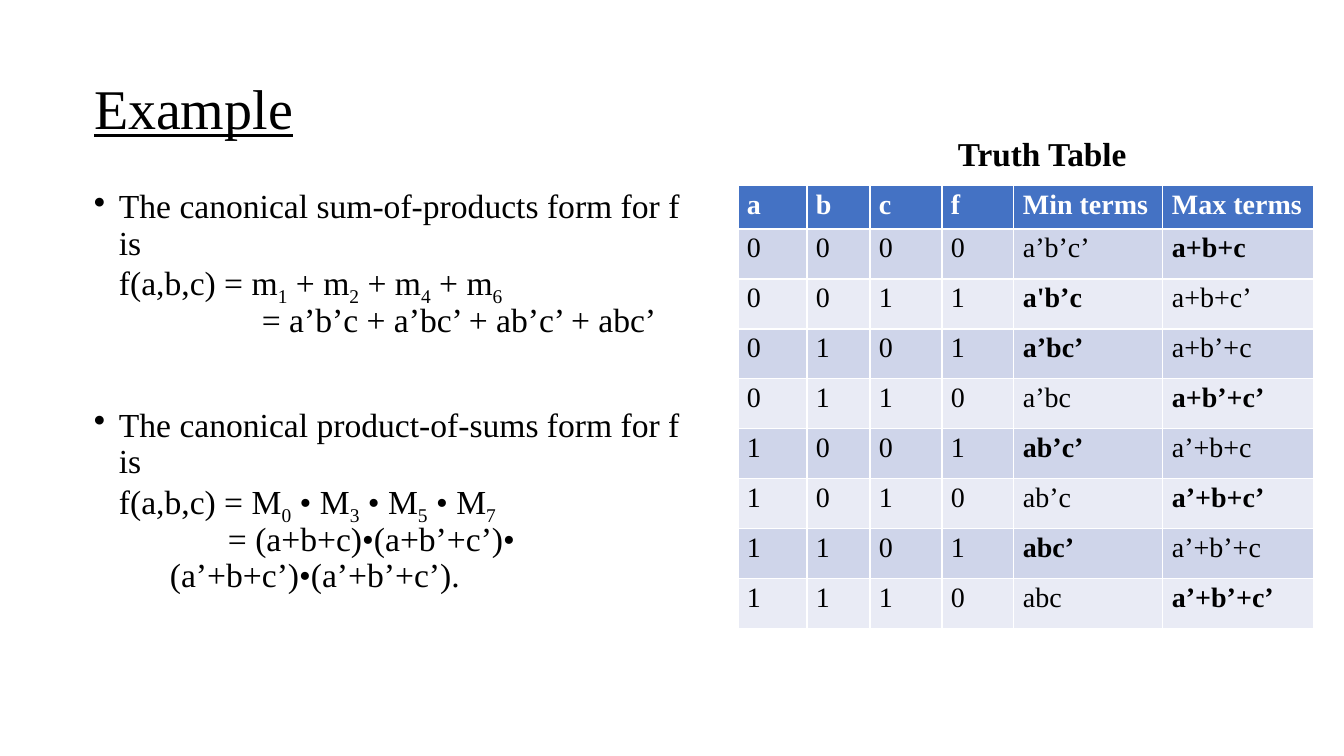
from pptx import Presentation
from pptx.dml.color import RGBColor
from pptx.enum.text import MSO_ANCHOR, PP_ALIGN
from pptx.oxml.xmlchemy import OxmlElement
from pptx.util import Pt

MIDDLE, TOP = MSO_ANCHOR.MIDDLE, MSO_ANCHOR.TOP
LEFT = PP_ALIGN.LEFT
FONT = "Times New Roman"
BLACK, WHITE, HEAD = "000000", "FFFFFF", "4472C4"
BANDS = ["CFD5EA", "E9EBF5"]
EMU = 914400 / 100.8

# Content: text between bars is subscript
# Each line: text, indent in pixels, space before in points, bullet
LINES = [
    ("The canonical sum-of-products form for f is", 25, 10, True),
    ("f(a,b,c) = m|1| + m|2| + m|4| + m|6|", 25, 0, False),
    ("= a’b’c + a’bc’ + ab’c’ + abc’", 168, 0, False),
    ("The canonical product-of-sums form for f is", 25, 49, True),
    ("f(a,b,c) = M|0| • M|3| • M|5| • M|7|", 25, 0, False),
    ("= (a+b+c)•(a+b’+c’)•", 134, 0, False),
    ("(a’+b+c’)•(a’+b’+c’).", 76, 0, False),
]
HEADS = ["a", "b", "c", "f", "Min terms", "Max terms"]
TERMS = [  # f, min term, max term
    (0, "a’b’c’", "a+b+c"),
    (1, "a'b’c", "a+b+c’"),
    (1, "a’bc’", "a+b’+c"),
    (0, "a’bc", "a+b’+c’"),
    (1, "ab’c’", "a’+b+c"),
    (0, "ab’c", "a’+b+c’"),
    (1, "abc’", "a’+b’+c"),
    (0, "abc", "a’+b’+c’"),
]
WIDTHS = [69, 63, 72, 72, 149, 151]
HEAD_H, ROW_H = 44, 50


def px(n):
    return round(n * EMU)


def rgb(code):
    return RGBColor.from_string(code)


def write(para, text, size=24, color=BLACK, bold=False, line=False,
          space=1.0, before=0, indent=0, bullet=False):
    para.alignment = LEFT
    para.line_spacing, para.space_before = space, Pt(before)
    props = para._p.get_or_add_pPr()
    props.set("marL", str(px(indent)))
    props.set("indent", str(-px(indent) if bullet else 0))
    mark = OxmlElement("a:buChar" if bullet else "a:buNone")
    if bullet:
        mark.set("char", "•")
    props.append(mark)
    for i, part in enumerate(text.split("|")):
        if not part:
            continue
        run = para.add_run()
        run.text = part
        font = run.font
        font.name, font.size = FONT, Pt(size)
        font.bold, font.underline = bold, line
        font.color.rgb = rgb(color)
        if i % 2:
            run._r.get_or_add_rPr().set("baseline", "-25000")


def add_box(x, y, w, h, anchor=TOP):
    frame = slide.shapes.add_textbox(px(x), px(y), px(w), px(h)).text_frame
    frame.word_wrap, frame.vertical_anchor = True, anchor
    return frame


deck = Presentation()
deck.slide_width, deck.slide_height = px(1344), px(756)
slide = deck.slides.add_slide(deck.slide_layouts[5])

# Title
title = slide.shapes.title
title.left, title.top, title.width, title.height = map(px, (84, 39, 277, 145))
title.text_frame.vertical_anchor = MIDDLE
write(title.text_frame.paragraphs[0], "Example", size=40, line=True, space=0.9)

# Canonical forms
body = add_box(84, 185, 628, 496)
for i, (text, indent, before, bullet) in enumerate(LINES):
    para = body.add_paragraph() if i else body.paragraphs[0]
    write(para, text, space=0.9, before=before, indent=indent, bullet=bullet)

# Table caption
label = add_box(948, 128, 195, 57, MIDDLE)
write(label.paragraphs[0], "Truth Table", size=23.8, bold=True, space=0.8)

# Truth table: inputs count up in binary; the term that applies is bold
rows = [[(head, True) for head in HEADS]]
for n, (f, low, high) in enumerate(TERMS):
    bits = [(digit, False) for digit in f"{n:03b}{f}"]
    rows.append(bits + [(low, f == 1), (high, f == 0)])

table = slide.shapes.add_table(
    len(rows), len(HEADS), px(738), px(185), px(sum(WIDTHS)),
    px(HEAD_H + ROW_H * len(TERMS))).table
for col, width in zip(table.columns, WIDTHS):
    col.width = px(width)
for r, row in enumerate(rows):
    table.rows[r].height = px(ROW_H if r else HEAD_H)
    for c, (text, bold) in enumerate(row):
        cell = table.cell(r, c)
        cell.margin_left = cell.margin_right = px(9)
        cell.margin_top = cell.margin_bottom = px(4)
        cell.fill.solid()
        cell.fill.fore_color.rgb = rgb(BANDS[(r - 1) % 2] if r else HEAD)
        write(cell.text_frame.paragraphs[0], text, size=20, bold=bold,
              color=BLACK if r else WHITE)

deck.save("out.pptx")
